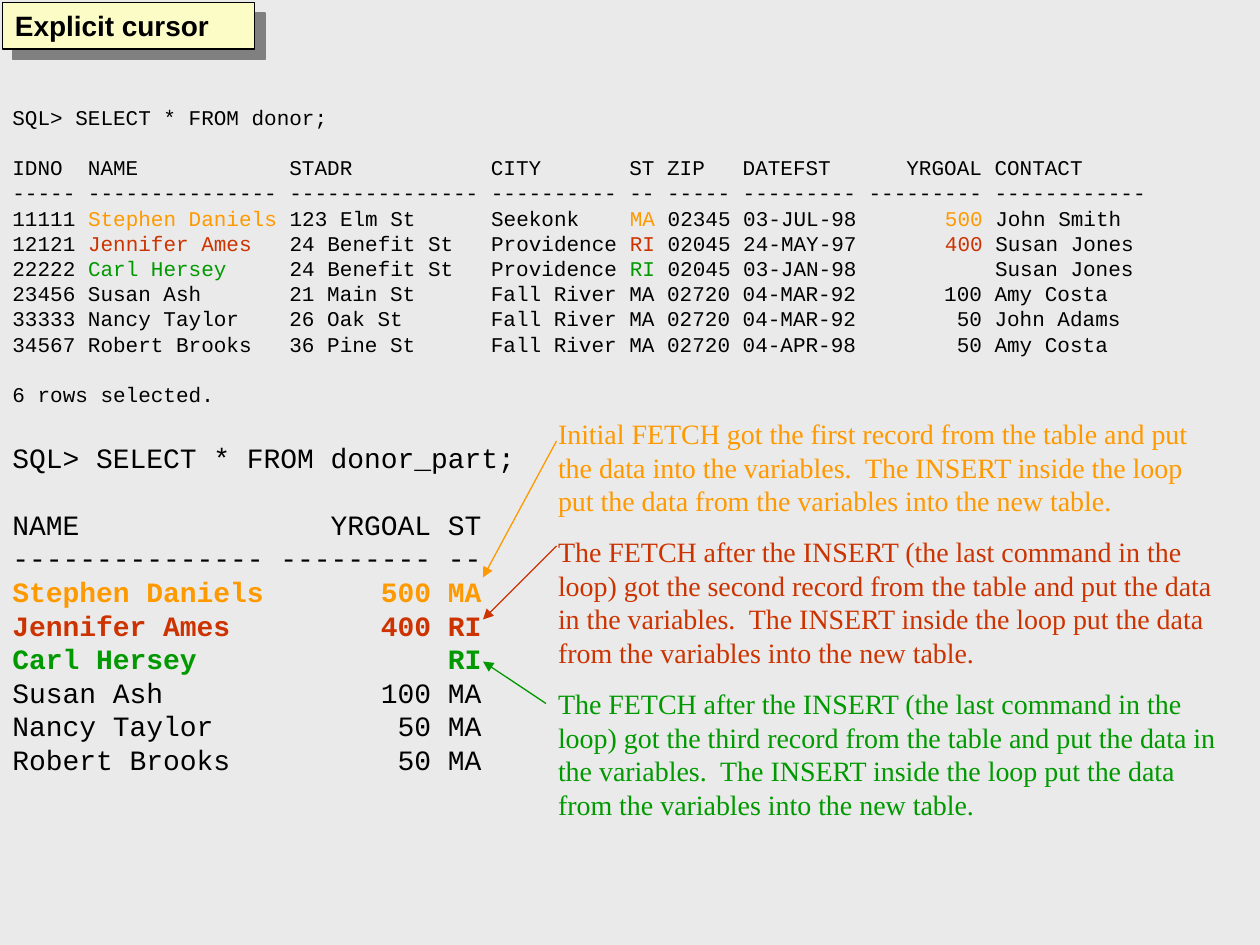
from pptx import Presentation
from pptx.dml.color import RGBColor
from pptx.enum.shapes import MSO_CONNECTOR, MSO_SHAPE
from pptx.enum.text import MSO_ANCHOR, PP_ALIGN
from pptx.oxml import parse_xml
from pptx.oxml.ns import nsdecls
from pptx.util import Pt

BLACK = RGBColor(0x00, 0x00, 0x00)
ORANGE = RGBColor(0xFF, 0x99, 0x00)
RED = RGBColor(0xCC, 0x33, 0x00)
GREEN = RGBColor(0x00, 0x99, 0x00)
CREAM = RGBColor(0xFC, 0xFD, 0xC6)
PALE_GREY = RGBColor(0xEA, 0xEA, 0xEA)
LINE_HEIGHT = 1.2


def add_span(para, text, font_name, size, color, bold=False):
    span = para.add_run()
    span.text = text
    span.font.name = font_name
    span.font.size = Pt(size)
    span.font.color.rgb = color
    span.font.bold = bold
    para.line_spacing = Pt(size * LINE_HEIGHT)
    para.alignment = PP_ALIGN.LEFT


def next_paragraph(frame):
    first = frame.paragraphs[0]
    return frame.add_paragraph() if first.runs else first


deck = Presentation()
deck.slide_width, deck.slide_height = Pt(720), Pt(540)
page = deck.slides.add_slide(deck.slide_layouts[6])
page.background.fill.solid()
page.background.fill.fore_color.rgb = PALE_GREY

# Title with a hard grey shadow
title = page.shapes.add_shape(MSO_SHAPE.RECTANGLE, Pt(1.5), Pt(1.5), Pt(144), Pt(26.6))
title.fill.solid()
title.fill.fore_color.rgb = CREAM
title.line.color.rgb = BLACK
title.line.width = Pt(0.75)
title.shadow.inherit = False
title._element.spPr.find("{*}effectLst").append(parse_xml(
    f'<a:outerShdw {nsdecls("a")} blurRad="0" dist="{Pt(8.5)}" dir="2700000" algn="ctr" '
    'rotWithShape="0"><a:srgbClr val="808080"/></a:outerShdw>'))
title.text_frame.vertical_anchor = MSO_ANCHOR.TOP
add_span(title.text_frame.paragraphs[0], "Explicit cursor", "Arial", 16, BLACK, True)

# Query output: text, colour, coloured words (none means the whole line, in bold)
DONOR_LINES = [
    ("SQL> SELECT * FROM donor;", BLACK, []),
    ("IDNO  NAME            STADR           CITY       ST ZIP   DATEFST      YRGOAL CONTACT", BLACK, []),
    ("----- --------------- --------------- ---------- -- ----- --------- --------- ------------", BLACK, []),
    ("11111 Stephen Daniels 123 Elm St      Seekonk    MA 02345 03-JUL-98       500 John Smith",
     ORANGE, ["Stephen Daniels", "MA", "500"]),
    ("12121 Jennifer Ames   24 Benefit St   Providence RI 02045 24-MAY-97       400 Susan Jones",
     RED, ["Jennifer Ames", "RI", "400"]),
    ("22222 Carl Hersey     24 Benefit St   Providence RI 02045 03-JAN-98           Susan Jones",
     GREEN, ["Carl Hersey", "RI"]),
    ("23456 Susan Ash       21 Main St      Fall River MA 02720 04-MAR-92       100 Amy Costa", BLACK, []),
    ("33333 Nancy Taylor    26 Oak St       Fall River MA 02720 04-MAR-92        50 John Adams", BLACK, []),
    ("34567 Robert Brooks   36 Pine St      Fall River MA 02720 04-APR-98        50 Amy Costa", BLACK, []),
    ("6 rows selected.", BLACK, []),
]
DONOR_PART_LINES = [
    ("SQL> SELECT * FROM donor_part;", BLACK, []),
    ("NAME               YRGOAL ST", BLACK, []),
    ("--------------- --------- --", BLACK, []),
    ("Stephen Daniels       500 MA", ORANGE, []),
    ("Jennifer Ames         400 RI", RED, []),
    ("Carl Hersey               RI", GREEN, []),
    ("Susan Ash             100 MA", BLACK, []),
    ("Nancy Taylor           50 MA", BLACK, []),
    ("Robert Brooks          50 MA", BLACK, []),
]
SECTION_STARTS = ("IDNO", "6 rows", "SQL>", "NAME")

output = page.shapes.add_textbox(Pt(0), Pt(56), Pt(662.4), Pt(391))
output.text_frame.word_wrap = False
for size, lines in ((12, DONOR_LINES), (16, DONOR_PART_LINES)):
    for text, color, words in lines:
        para = next_paragraph(output.text_frame)
        if text.startswith(SECTION_STARTS) and len(output.text_frame.paragraphs) > 1:
            para.space_before = Pt(size * LINE_HEIGHT)
        rest = text
        for word in words:
            before, _, rest = rest.partition(word)
            add_span(para, before, "Courier New", size, BLACK)
            add_span(para, word, "Courier New", size, color)
        whole_line = color != BLACK and not words
        add_span(para, rest, "Courier New", size, color if whole_line else BLACK, whole_line)

# Explanations
NOTES = [
    ("Initial FETCH got the first record from the table and put the data into the variables.  "
     "The INSERT inside the loop put the data from the variables into the new table.", ORANGE),
]
for ordinal, color in (("second", RED), ("third", GREEN)):
    NOTES.append((
        "The FETCH after the INSERT (the last command in the loop) got the "
        f"{ordinal} record from the table and put the data in the variables.  "
        "The INSERT inside the loop put the data from the variables into the new table.", color))

notes = page.shapes.add_textbox(Pt(311.8), Pt(234.5), Pt(390), Pt(268))
notes.text_frame.word_wrap = True
for text, color in NOTES:
    para = next_paragraph(notes.text_frame)
    if len(notes.text_frame.paragraphs) > 1:
        para.space_before = Pt(10)
    add_span(para, text, "Times New Roman", 16, color)

# Arrows from each explanation to its row
for start_x, start_y, end_y, color in (
        (318, 252, 330, ORANGE), (318, 312, 354, RED), (312, 402, 378, GREEN)):
    arrow = page.shapes.add_connector(
        MSO_CONNECTOR.STRAIGHT, Pt(start_x), Pt(start_y), Pt(276), Pt(end_y))
    arrow.line.color.rgb = color
    arrow.line.width = Pt(0.75)
    arrow.line._get_or_add_ln().append(parse_xml(f'<a:tailEnd {nsdecls("a")} type="triangle"/>'))
    arrow._element.spPr.append(parse_xml(f'<a:effectLst {nsdecls("a")}/>'))

deck.save("out.pptx")
